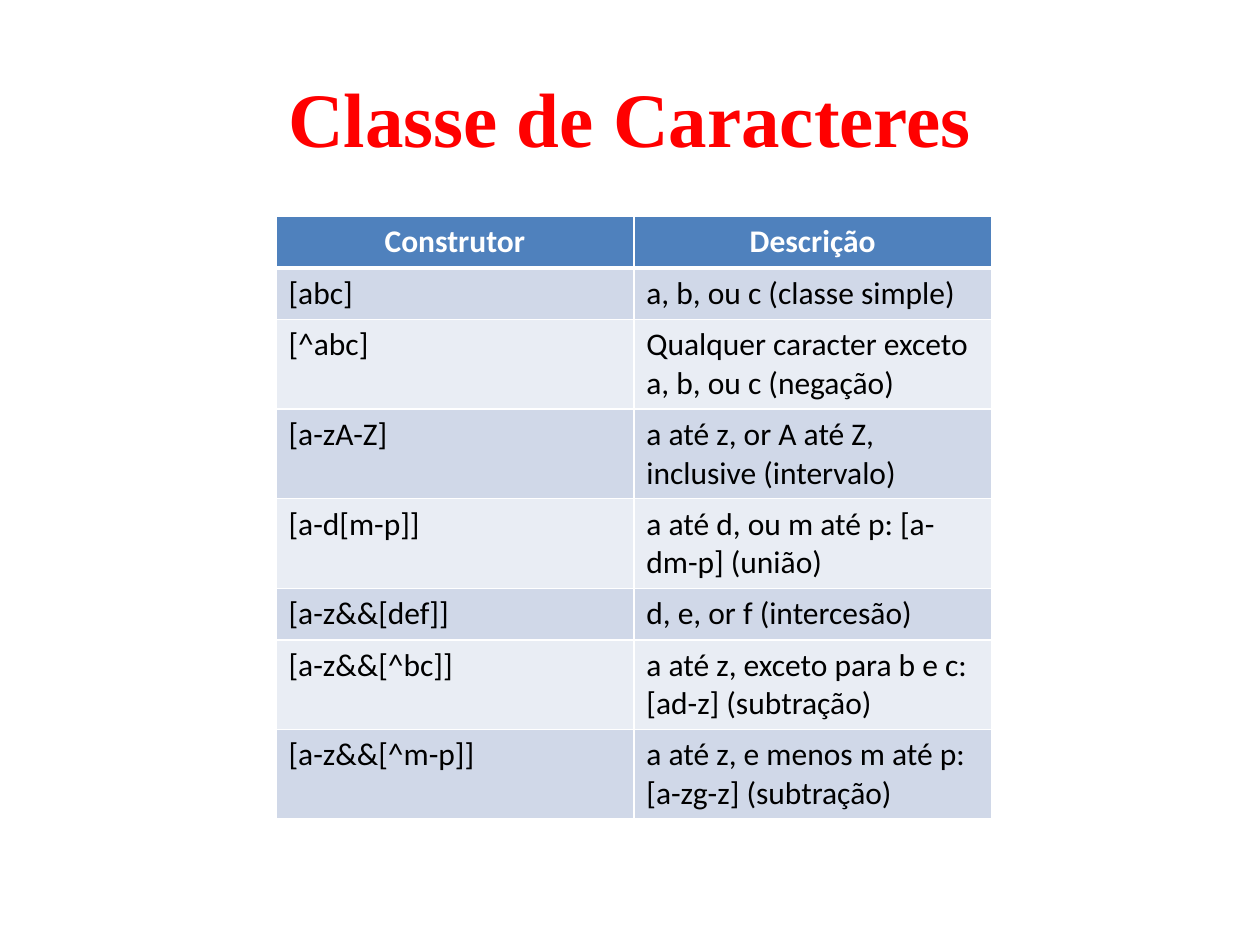
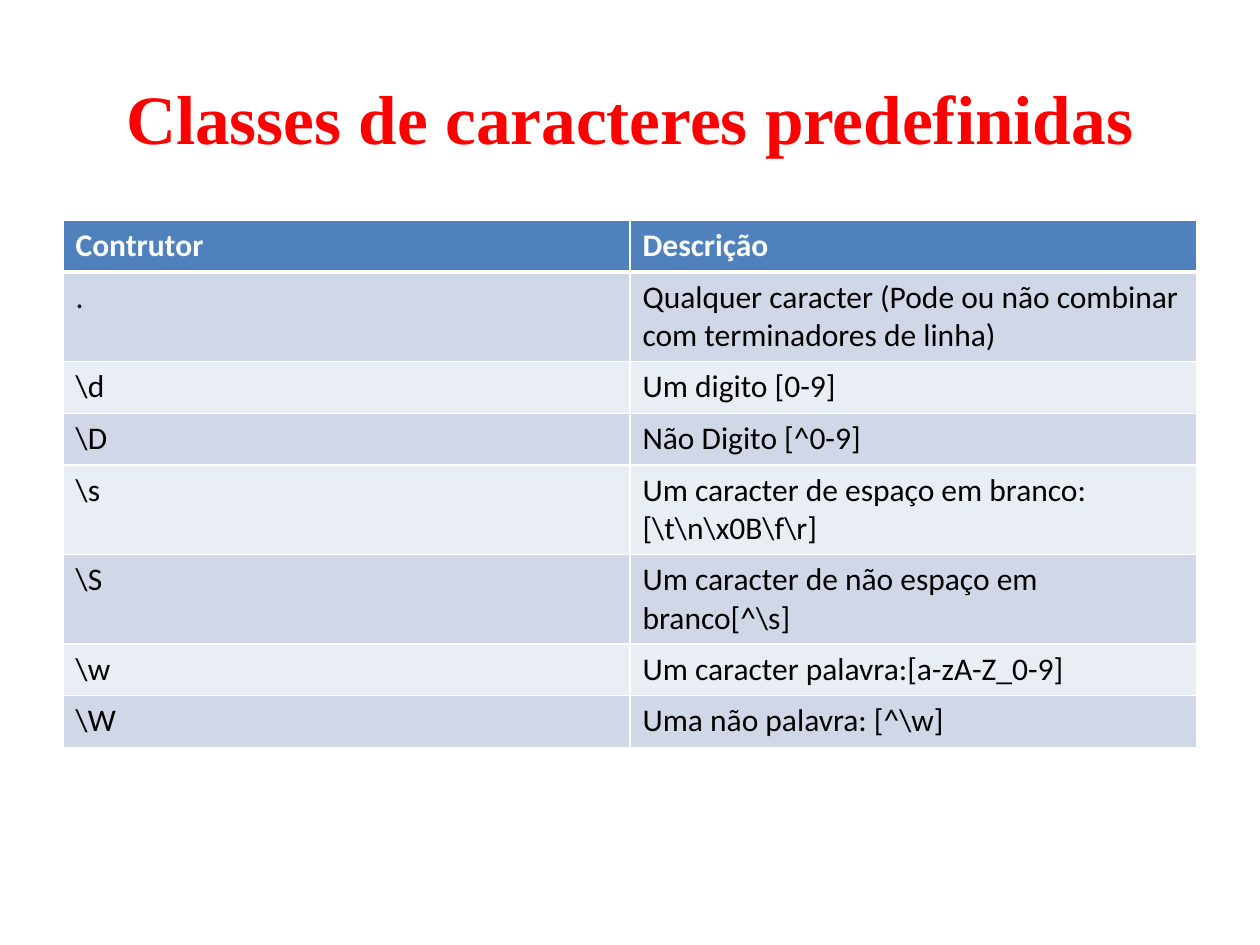
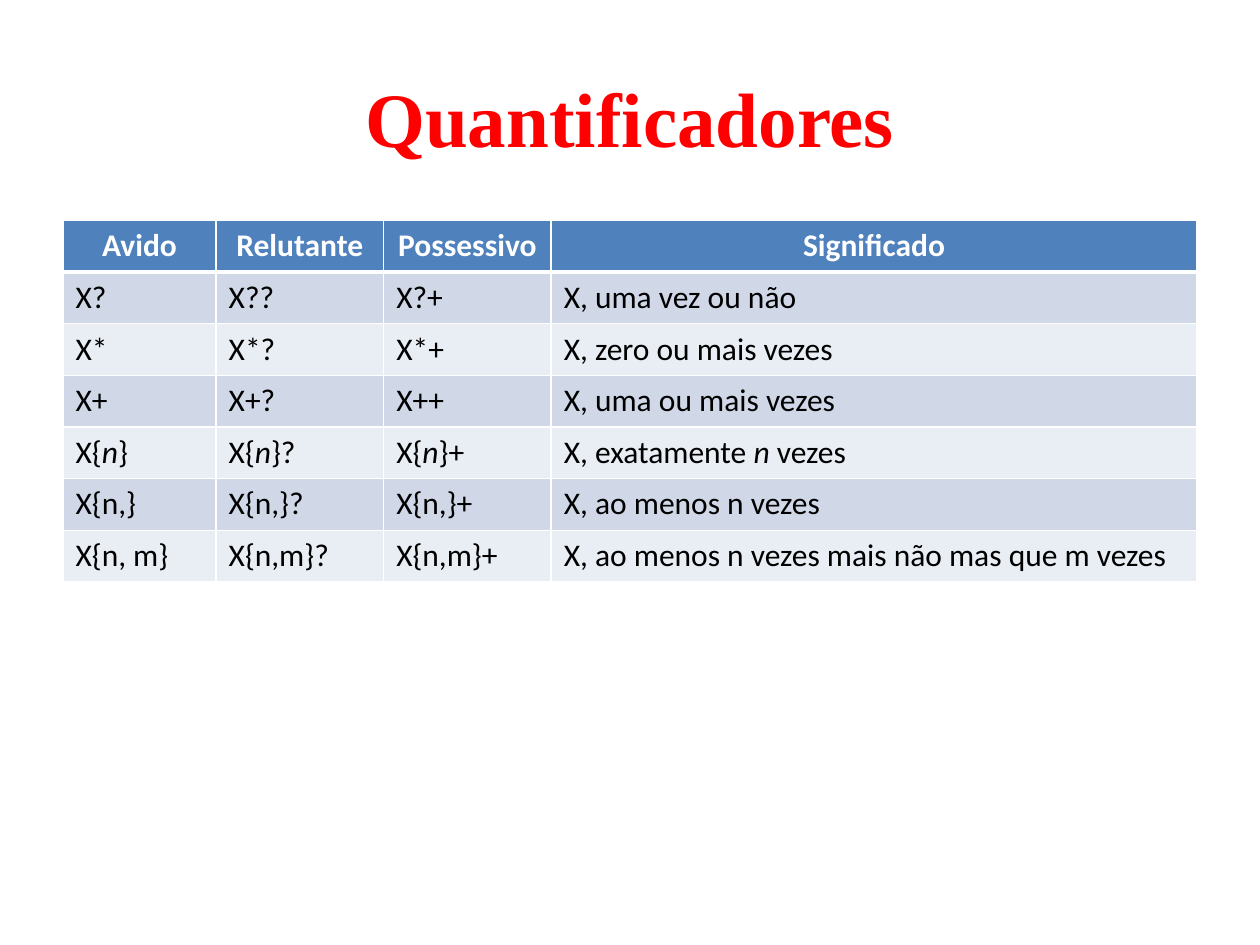
import pptx
import pptx.util
import pptx.dml.color
import pptx.enum.text
import pptx.oxml.ns
import lxml.etree

MID = pptx.enum.text.MSO_ANCHOR.MIDDLE
LEFT = pptx.enum.text.PP_ALIGN.LEFT
CENTER = pptx.enum.text.PP_ALIGN.CENTER
RED, BLUE, WHITE, BLACK = "FF0000", "4F81BD", "FFFFFF", "000000"
BANDS = ["E9EDF4", "D0D8E8"]
SLANT = "~"  # text between two of these marks is italic

deck = pptx.Presentation()
deck.slide_width = pptx.util.Inches(10)
deck.slide_height = pptx.util.Inches(7.5)
wide, high = deck.slide_width, deck.slide_height
edge = 0.05 * wide
row_high = pptx.util.Inches(0.41)


def write(frame, text, font="Calibri", size=18, color=BLACK, bold=False, align=LEFT):
    """Fill a text frame with one paragraph of formatted text."""
    para = frame.paragraphs[0]
    para.alignment = align
    for n, part in enumerate(text.split(SLANT)):
        run = para.add_run()
        run.text = part
        run.font.name = font
        run.font.size = pptx.util.Pt(size)
        run.font.bold = bold
        run.font.italic = n % 2 == 1
        run.font.color.rgb = pptx.dml.color.RGBColor.from_string(color)


def style(cell, fill, top=1, base=1):
    """Give a cell its white borders and its fill."""
    props = cell._tc.get_or_add_tcPr()
    for side, width in zip("LRTB", (1, 1, top, base)):
        line = lxml.etree.SubElement(
            props, pptx.oxml.ns.qn("a:ln" + side), w=str(pptx.util.Pt(width)))
        solid = lxml.etree.SubElement(line, pptx.oxml.ns.qn("a:solidFill"))
        lxml.etree.SubElement(solid, pptx.oxml.ns.qn("a:srgbClr"), val=WHITE)
    cell.fill.solid()
    cell.fill.fore_color.rgb = pptx.dml.color.RGBColor.from_string(fill)


# Left, top and column widths are shares of the slide's size;
# mid lists the rows whose last cell is anchored in the middle.
pages = [
    dict(title="Classe de Caracteres", size=44, left=0.219, top=0.229,
         cols=[0.284, 0.284], head=CENTER, mid=[3, 4, 6, 7],
         rows=[
             ["Construtor", "Descrição"],
             ["[abc]", "a, b, ou c (classe simple)"],
             ["[^abc]", "Qualquer caracter exceto a, b, ou c (negação)"],
             ["[a-zA-Z]", "a até z, or A até Z, inclusive (intervalo)"],
             ["[a-d[m-p]]", "a até d, ou m até p: [a-dm-p] (união)"],
             ["[a-z&&[def]]", "d, e, or f (intercesão)"],
             ["[a-z&&[^bc]]", "a até z, exceto para b e c: [ad-z] (subtração)"],
             ["[a-z&&[^m-p]]", "a até z, e menos m até p: [a-zg-z] (subtração)"],
         ]),
    dict(title="Classes de caracteres predefinidas", size=39.6, left=0.05, top=0.2333,
         cols=[0.45, 0.45], head=LEFT, mid=[],
         rows=[
             ["Contrutor", "Descrição"],
             [".", "Qualquer caracter (Pode ou não combinar com terminadores de linha)"],
             [r"\d", "Um digito [0-9]"],
             [r"\D", "Não Digito [^0-9]"],
             [r"\s", r"Um caracter de espaço em branco: [\t\n\x0B\f\r]"],
             [r"\S", r"Um caracter de não espaço em branco[^\s]"],
             [r"\w", "Um caracter palavra:[a-zA-Z_0-9]"],
             [r"\W", r"Uma não palavra: [^\w]"],
         ]),
    dict(title="Quantificadores", size=44, left=0.05, top=0.2333,
         cols=[0.1215, 0.133, 0.133, 0.5125], head=CENTER, mid=[],
         rows=[
             ["Avido", "Relutante", "Possessivo", "Significado"],
             ["X?", "X??", "X?+", "X, uma vez ou não"],
             ["X*", "X*?", "X*+", "X, zero ou mais vezes"],
             ["X+", "X+?", "X++", "X, uma ou mais vezes"],
             ["X{~n~}", "X{~n~}?", "X{~n~}+", "X, exatamente ~n~ vezes"],
             ["X{n,}", "X{n,}?", "X{n,}+", "X, ao menos n vezes"],
             ["X{n, m}", "X{n,m}?", "X{n,m}+",
              "X, ao menos n vezes mais não mas que m vezes"],
         ]),
]

for page in pages:
    slide = deck.slides.add_slide(deck.slide_layouts[5])
    title = slide.shapes.title
    title.left, title.top = int(edge), int(0.04 * high)
    title.width, title.height = int(wide - 2 * edge), int(high / 6)
    title.text_frame.auto_size = pptx.enum.text.MSO_AUTO_SIZE.NONE
    title.text_frame.vertical_anchor = MID
    write(title.text_frame, page["title"], font="Times New Roman",
          size=page["size"], color=RED, bold=True, align=CENTER)

    rows, cols = page["rows"], page["cols"]
    table = slide.shapes.add_table(
        len(rows), len(cols), int(page["left"] * wide), int(page["top"] * high),
        int(sum(cols) * wide), row_high * len(rows)).table
    for col, share in zip(table.columns, cols):
        col.width = int(share * wide)
    for r, row in enumerate(rows):
        table.rows[r].height = row_high
        for c, text in enumerate(row):
            cell = table.cell(r, c)
            if r == 0:
                style(cell, BLUE, base=3)
                write(cell.text_frame, text, color=WHITE, bold=True, align=page["head"])
            else:
                style(cell, BANDS[r % 2], top=3 if r == 1 else 1)
                write(cell.text_frame, text)
        if r in page["mid"]:
            cell.vertical_anchor = MID

deck.save("out.pptx")
